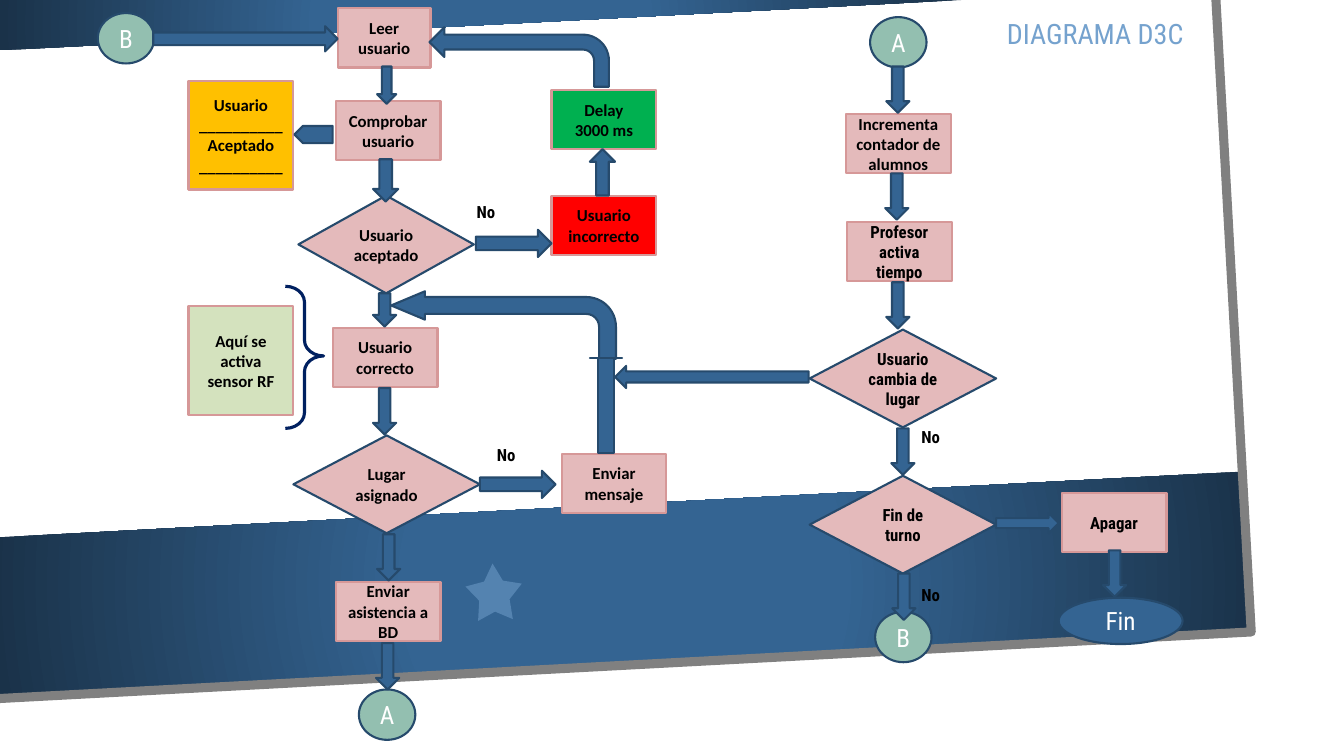
from collections import namedtuple

from lxml.etree import SubElement
from pptx import Presentation
from pptx.dml.color import RGBColor
from pptx.enum.shapes import MSO_SHAPE as Kind
from pptx.enum.text import MSO_ANCHOR as Anchor, PP_ALIGN as Align
from pptx.oxml import parse_xml
from pptx.oxml.ns import nsdecls, qn
from pptx.util import Inches, Pt

Box = namedtuple("Box", "left top width height")
CELL = Inches(0.1)
STEP, NOTE, CHOICE = (10.4, 5.9), (10.4, 10.8), (18.5, 9.7)
DISC, ARROW, BRANCH = (5.6, 5), (2.3, 4.6), (7.5, 2.7)
BODY, DISPLAY = "Calibri", "Roboto Condensed"
COLORS = {
    "white": "FFFFFF", "black": "000000", "blue": "346492", "navy": "264A6C",
    "night": "1A3249", "sky": "75A2CE", "pink": "E4BABB", "rose": "D69898",
    "sage": "93BFB0", "amber": "FFC000", "red": "FF0000", "green": "00B050",
    "lime": "D4E2BE", "brace": "002060", "grey": "808080",
}
DARK_TEXT = {"size": Pt(12), "bold": True}
LIGHT_TEXT = {"size": Pt(18), "bold": False}


def color(name):
    """Return the named colour."""
    return RGBColor.from_string(COLORS[name])


def paint(shape, fill=None, line=None, weight=1.5):
    """Set fill and outline and remove the shadow."""
    shape.shadow.inherit = False
    if fill:
        shape.fill.solid()
        shape.fill.fore_color.rgb = color(fill)
    else:
        shape.fill.background()
    if line:
        shape.line.color.rgb = color(line)
        shape.line.width = Pt(weight)
    else:
        shape.line.fill.background()


def write(shape, text, font, shade, values, align, anchor):
    """Write one paragraph for each line of text."""
    frame = shape.text_frame
    frame.word_wrap = True
    frame.vertical_anchor = anchor
    for number, words in enumerate(text.split("\n")):
        para = frame.add_paragraph() if number else frame.paragraphs[0]
        para.alignment = align
        span = para.add_run()
        span.text = words
        span.font.name = font
        span.font.color.rgb = color(shade)
        for name, value in values.items():
            setattr(span.font, name, value)


def place(box, left, top, width, height):
    """Turn grid offsets in a region into slide lengths."""
    cells = (box.left + left, box.top + top, width, height)
    return [round(cell * CELL) for cell in cells]


def add_part(page, box, kind, at, fill, line="navy", weight=1.5, adjust=(), flip=False):
    """Add a preset shape to a region."""
    shape = page.shapes.add_shape(kind, *place(box, *at))
    paint(shape, fill, line, weight)
    for index, value in enumerate(adjust):
        shape.adjustments[index] = value
    if flip:
        shape.element.spPr.get_or_add_xfrm().set("flipH", "1")
    return shape


def add_steps(page, box, steps):
    """Add the rectangles with dark text."""
    for left, top, size, fill, text, font in steps:
        shape = add_part(page, box, Kind.RECTANGLE, (left, top, *size), fill, "rose")
        write(shape, text, font, "black", DARK_TEXT, Align.CENTER, Anchor.MIDDLE)


def add_choices(page, box, choices):
    """Add the decision diamonds."""
    for left, top, size, text, font in choices:
        shape = add_part(page, box, Kind.FLOWCHART_DECISION, (left, top, *size), "pink")
        write(shape, text, font, "black", DARK_TEXT, Align.CENTER, Anchor.MIDDLE)


def add_ends(page, box, ends):
    """Add the round links and the terminal."""
    for left, top, size, fill, text in ends:
        shape = add_part(page, box, Kind.OVAL, (left, top, *size), fill)
        write(shape, text, DISPLAY, "white", LIGHT_TEXT, Align.CENTER, Anchor.MIDDLE)


def add_arrows(page, box, arrows):
    """Add the block arrows."""
    for kind, left, top, size in arrows:
        add_part(page, box, kind, (left, top, *size), "blue")


def add_answers(page, box, answers):
    """Add the labels beside the negative branches."""
    for left, top in answers:
        label = page.shapes.add_textbox(*place(box, left, top, 4.7, 3))
        write(label, "No", DISPLAY, "black", DARK_TEXT, Align.LEFT, Anchor.TOP)


def add_outline(page, box, points, close=True):
    """Add a freeform through grid points of a region."""
    spots = [place(box, x, y, 0, 0)[:2] for x, y in points]
    builder = page.shapes.build_freeform(*spots[0], scale=1.0)
    builder.add_line_segments(spots[1:], close=close)
    return builder.convert_to_shape()


def add_band(page, box, points):
    """Add an outline with a radial gradient."""
    band = add_outline(page, box, points)
    paint(band)
    stops = "".join(
        f'<a:gs pos="{share * 1000}"><a:srgbClr val="{COLORS[name]}"/></a:gs>'
        for share, name in ((34, "blue"), (100, "night")))
    sides = " ".join(f'{side}="50000"' for side in "ltrb")
    gradient = parse_xml(
        f'<a:gradFill {nsdecls("a")} rotWithShape="1"><a:gsLst>{stops}</a:gsLst>'
        f'<a:path path="circle"><a:fillToRect {sides}/></a:path></a:gradFill>')
    properties = band.element.spPr
    properties.replace(properties.find(qn("a:noFill")), gradient)


def draw_backdrop(page, box):
    """Draw the tilted sheet, its bands, its edge and the star."""
    paint(add_outline(page, box, [(-0.2, 0), (123.6, 0), (127.6, 65.4), (0, 72)]), "white")
    add_band(page, box, [(0, 53.3), (123, 46.8), (123.9, 62.4), (0, 69)])
    add_band(page, box, [(0, 0), (95.4, 0), (0, 5)])
    edge = add_outline(page, box, [(120.6, 0), (124.1, 62.7), (0, 69.3)], close=False)
    paint(edge, None, "grey", 6.5)
    star = add_part(page, box, Kind.STAR_5_POINT, (46.2, 55.9, 5.6, 5.6), "sky", None,
                    adjust=(0.27, 1.05, 1.11))
    star.rotation = 357
    tint = star.element.spPr.find(qn("a:solidFill")).find(qn("a:srgbClr"))
    SubElement(tint, qn("a:alpha")).set("val", "50000")


def draw_login(page, box):
    """Draw the reading and checking of the user."""
    add_steps(page, box, [
        (23.8, 0, (9.2, 5.9), "pink", "Leer usuario", BODY),
        (23.6, 9.2, STEP, "pink", "Comprobar usuario", BODY),
        (9, 7.2, NOTE, "amber", "Usuario\n__________\nAceptado\n__________", BODY),
        (45, 18.6, STEP, "red", "Usuario\nincorrecto", BODY),
        (45, 8.1, STEP, "green", "Delay\n3000 ms", BODY)])
    add_choices(page, box, [(19.9, 18.6, (17.4, 9.7), "Usuario\naceptado", BODY)])
    add_ends(page, box, [(0, 0.5, DISC, "sage", "B")])
    add_arrows(page, box, [
        (Kind.DOWN_ARROW, 27.7, 5.8, (1.9, 3.7)), (Kind.DOWN_ARROW, 27.3, 15, (2.5, 4.2)),
        (Kind.RIGHT_ARROW, 5.5, 1.8, (18.3, 2.5)), (Kind.RIGHT_ARROW, 37.5, 22, BRANCH),
        (Kind.UP_ARROW, 48.8, 14, (2.5, 4.6))])
    add_part(page, box, Kind.BENT_ARROW, (32.9, 1.9, 17.8, 5.9), "blue", flip=True)
    add_part(page, box, Kind.PENTAGON, (19.5, 11.7, 3.8, 1.7), "blue", flip=True)
    add_answers(page, box, [(36.6, 18.7)])


def draw_seat(page, box):
    """Draw the seat check and the attendance report."""
    add_steps(page, box, [
        (14.3, 4.1, STEP, "pink", "Usuario\ncorrecto", BODY),
        (37, 16.6, STEP, "pink", "Enviar mensaje", BODY),
        (14.6, 29.3, STEP, "pink", "Enviar asistencia a BD", BODY),
        (0, 2, NOTE, "lime", "Aquí se activa sensor RF", BODY)])
    add_choices(page, box, [(10.4, 14.8, CHOICE, "Lugar asignado", BODY)])
    add_ends(page, box, [(16.9, 40, DISC, "sage", "A")])
    add_arrows(page, box, [
        (Kind.DOWN_ARROW, 18.3, 0.7, (2.3, 3.3)), (Kind.DOWN_ARROW, 18.3, 10.1, ARROW),
        (Kind.DOWN_ARROW, 18.7, 24.6, ARROW), (Kind.DOWN_ARROW, 18.6, 35.4, ARROW),
        (Kind.RIGHT_ARROW, 28.9, 18.3, BRANCH)])
    add_part(page, box, Kind.BENT_ARROW, (20.1, 0.5, 22.3, 6.7), "blue",
             adjust=(0.25, 0.21, 0.5, 0.44), flip=True)
    add_part(page, box, Kind.UP_ARROW, (39.8, 7.1, 3.2, 9.4), "blue", adjust=(0.5, 0))
    add_part(page, box, Kind.RIGHT_BRACE, (9.6, 0, 3.8, 14.1), None, "brace", 2.25,
             adjust=(0.41, 0.49))
    add_answers(page, box, [(29.6, 15.2)])


def draw_lesson(page, box):
    """Draw the counting, the lesson timer and the end of the shift."""
    add_steps(page, box, [
        (3.6, 9.6, STEP, "pink", "Incrementa contador de alumnos", BODY),
        (3.7, 20.3, STEP, "pink", "Profesor activa tiempo", DISPLAY),
        (25, 47.2, STEP, "pink", "Apagar", DISPLAY)])
    add_choices(page, box, [
        (0, 31, CHOICE, "Usuario cambia de lugar", DISPLAY),
        (0, 45.5, CHOICE, "Fin de turno", DISPLAY)])
    add_ends(page, box, [
        (6, 0, DISC, "sage", "A"), (6.5, 59, DISC, "sage", "B"),
        (24.7, 57.6, (12.3, 4.6), "blue", "Fin")])
    falls = [(7.6, 4.9), (7.5, 15.5), (7.6, 26.3), (8.1, 40.8), (8.2, 55.2), (29.1, 52.9)]
    add_arrows(page, box, [(Kind.DOWN_ARROW, *spot, ARROW) for spot in falls])
    add_arrows(page, box, [
        (Kind.RIGHT_ARROW, 18.5, 49.2, (6.2, 2)),
        (Kind.LEFT_ARROW, -19.3, 34.6, (19.2, 2.2))])
    add_answers(page, box, [(10.1, 40.1), (10.1, 55.8)])


def draw_title(page, box):
    """Place the title in front of the backdrop."""
    title = page.shapes.title
    title.left, title.top, title.width, title.height = place(box, 0, 0, box.width, box.height)
    write(title, "DIAGRAMA D3C", DISPLAY, "sky", {"size": Pt(20)}, Align.RIGHT, Anchor.BOTTOM)
    title.text_frame.paragraphs[0].line_spacing = 0.7
    title.element.getparent().append(title.element)


def main():
    """Build and save the deck."""
    deck = Presentation()
    deck.slide_width, deck.slide_height = Inches(13.33), Inches(7.5)
    page = deck.slides.add_slide(deck.slide_layouts[5])
    draw_backdrop(page, Box(0, 0, 133.3, 75))
    draw_login(page, Box(9.7, 0.8, 55.4, 28.3))
    draw_seat(page, Box(18.7, 28.4, 47.4, 45))
    draw_lesson(page, Box(80.3, 1.7, 37, 64))
    draw_title(page, Box(92.8, 1.7, 25.6, 3.7))
    deck.save("out.pptx")


if __name__ == "__main__":
    main()
